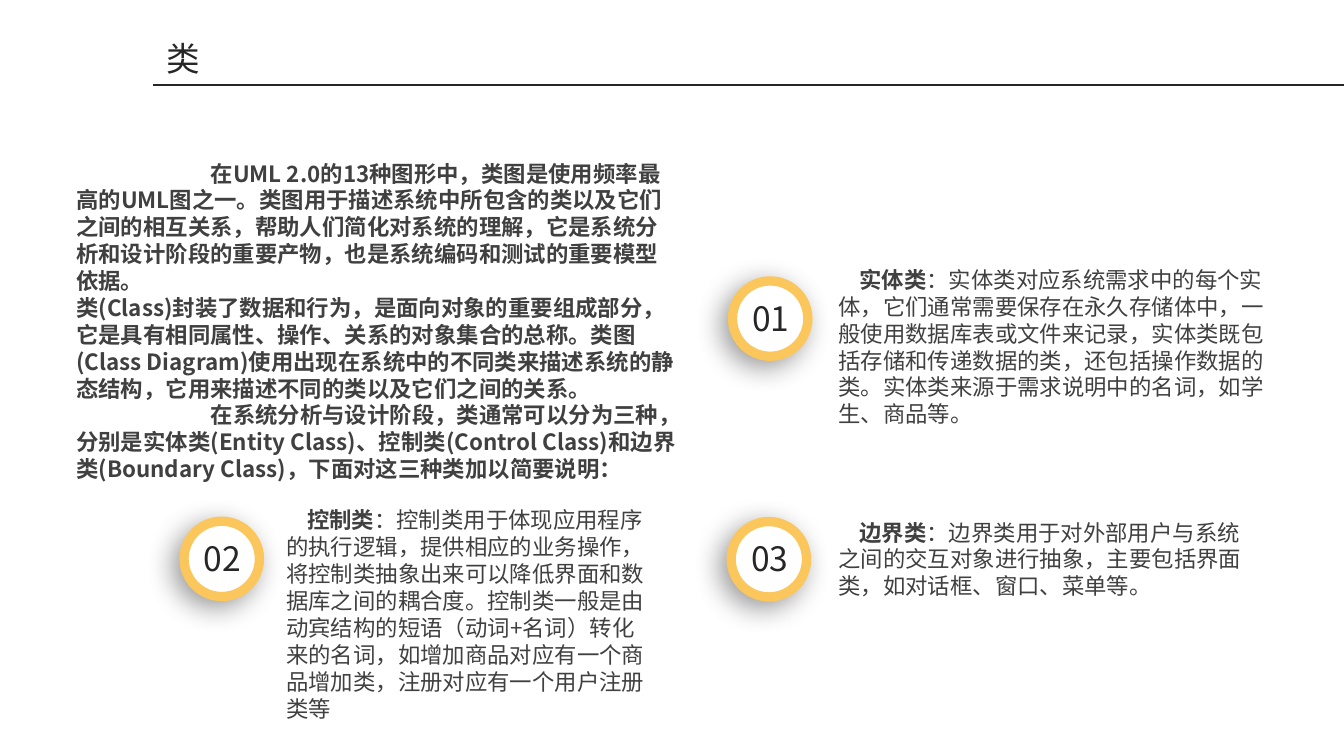
from lxml.etree import SubElement
from pptx import Presentation
from pptx.dml.color import RGBColor
from pptx.enum.shapes import MSO_CONNECTOR as CONN, MSO_SHAPE as SHAPE
from pptx.enum.text import MSO_AUTO_SIZE as AUTO
from pptx.oxml.ns import qn
from pptx.util import Pt

FONT = "Noto Sans CJK SC"
INK, GREY, WHITE, AMBER = "262626", "404040", "FFFFFF", "FBC65C"
LEADING = 1.2

INTRO = [
    ("在UML 2.0的13种图形中，类图是使用频率最高的UML图之一。类图用于描述系统中所包含的类以及它们之间的相互关系，帮助人们简化对系统的理解，它是系统分析和设计阶段的重要产物，也是系统编码和测试的重要模型依据。", 72),
    ("类(Class)封装了数据和行为，是面向对象的重要组成部分，它是具有相同属性、操作、关系的对象集合的总称。类图(Class Diagram)使用出现在系统中的不同类来描述系统的静态结构，它用来描述不同的类以及它们之间的关系。", 0),
    ("在系统分析与设计阶段，类通常可以分为三种，分别是实体类(Entity Class)、控制类(Control Class)和边界类(Boundary Class)，下面对这三种类加以简要说明：", 72),
]
CARDS = [
    ("01", (392.4, 150.5), (442.1, 139, 250.6, 94.3), "实体类",
     "：实体类对应系统需求中的每个实体，它们通常需要保存在永久存储体中，一般使用数据库表或文件来记录，实体类既包括存储和传递数据的类，还包括操作数据的类。实体类来源于需求说明中的名词，如学生、商品等。"),
    ("02", (98.6, 279.2), (146.2, 267.8, 209.5, 123.8), "控制类",
     "：控制类用于体现应用程序的执行逻辑，提供相应的业务操作，将控制类抽象出来可以降低界面和数据库之间的耦合度。控制类一般是由动宾结构的短语（动词+名词）转化来的名词，如增加商品对应有一个商品增加类，注册对应有一个用户注册类等"),
    ("03", (391.7, 279.4), (442.1, 274.3, 236.9, 51.1), "边界类",
     "：边界类用于对外部用户与系统之间的交互对象进行抽象，主要包括界面类，如对话框、窗口、菜单等。"),
]


def rgb(value):
    return RGBColor.from_string(value)


def add_text(shapes, box, paragraphs, size, color, wrap=True):
    tf = shapes.add_textbox(*map(Pt, box)).text_frame
    tf.word_wrap = wrap
    tf.auto_size = AUTO.SHAPE_TO_FIT_TEXT
    for i, (runs, indent) in enumerate(paragraphs):
        p = tf.add_paragraph() if i else tf.paragraphs[0]
        p.line_spacing = Pt(size * LEADING)
        if indent:
            p._p.get_or_add_pPr().set("indent", str(Pt(indent)))
        for text, bold in runs:
            r = p.add_run()
            r.text = text
            r.font.size = Pt(size)
            r.font.bold = bold
            r.font.name = FONT
            r.font.color.rgb = rgb(color)
            SubElement(r._r.rPr, qn("a:ea"), typeface=FONT)


def add_shadow(s):
    s.shadow.inherit = False
    effects = s._element.spPr.find(qn("a:effectLst"))
    shadow = SubElement(effects, qn("a:outerShdw"), blurRad=str(Pt(15)),
                        dist=str(Pt(5)), dir=str(135 * 60000),
                        algn="tr", rotWithShape="0")
    color = SubElement(shadow, qn("a:srgbClr"), val="000000")
    SubElement(color, qn("a:alpha"), val="40000")


def add_heading(slide, box, title):
    x, y, w, h = box
    add_text(slide.shapes, (x, y, 32.4, h), [([(title, False)], 0)], 18, INK, False)
    line = slide.shapes.add_connector(CONN.STRAIGHT, Pt(x), Pt(y + h), Pt(x + w), Pt(y + h))
    line.line.color.rgb = rgb(INK)
    line.line.width = Pt(1)
    SubElement(line._element.spPr, qn("a:effectLst"))


def add_intro(slide, box, paragraphs):
    add_text(slide.shapes, box,
             [([(text, True)], indent) for text, indent in paragraphs], 12, GREY)


def add_badge(slide, box, number):
    x, y, w, h = box
    group = slide.shapes.add_group_shape()
    s = group.shapes.add_shape(SHAPE.OVAL, *map(Pt, box))
    s.fill.solid()
    s.fill.fore_color.rgb = rgb(WHITE)
    s.line.color.rgb = rgb(AMBER)
    s.line.width = Pt(5)
    add_shadow(s)
    add_text(group.shapes, (x + 3.6, y + 5.5, 36, 28.8),
             [([(number, False)], 0)], 18, INK, False)


def add_card(slide, box, name, body):
    add_text(slide.shapes, box, [([(name, True), (body, False)], 11.2)], 12, GREY)


def main():
    prs = Presentation()
    prs.slide_width, prs.slide_height = Pt(720), Pt(405)
    slide = prs.slides.add_slide(prs.slide_layouts[6])
    add_heading(slide, (82, 16.8, 638, 28.8), "类")
    for number, corner, box, name, body in CARDS:
        add_card(slide, box, name, body)
        add_badge(slide, (*corner, 40.4, 40.4), number)
    add_intro(slide, (33.8, 82, 336.2, 167), INTRO)
    prs.save("out.pptx")


if __name__ == "__main__":
    main()
